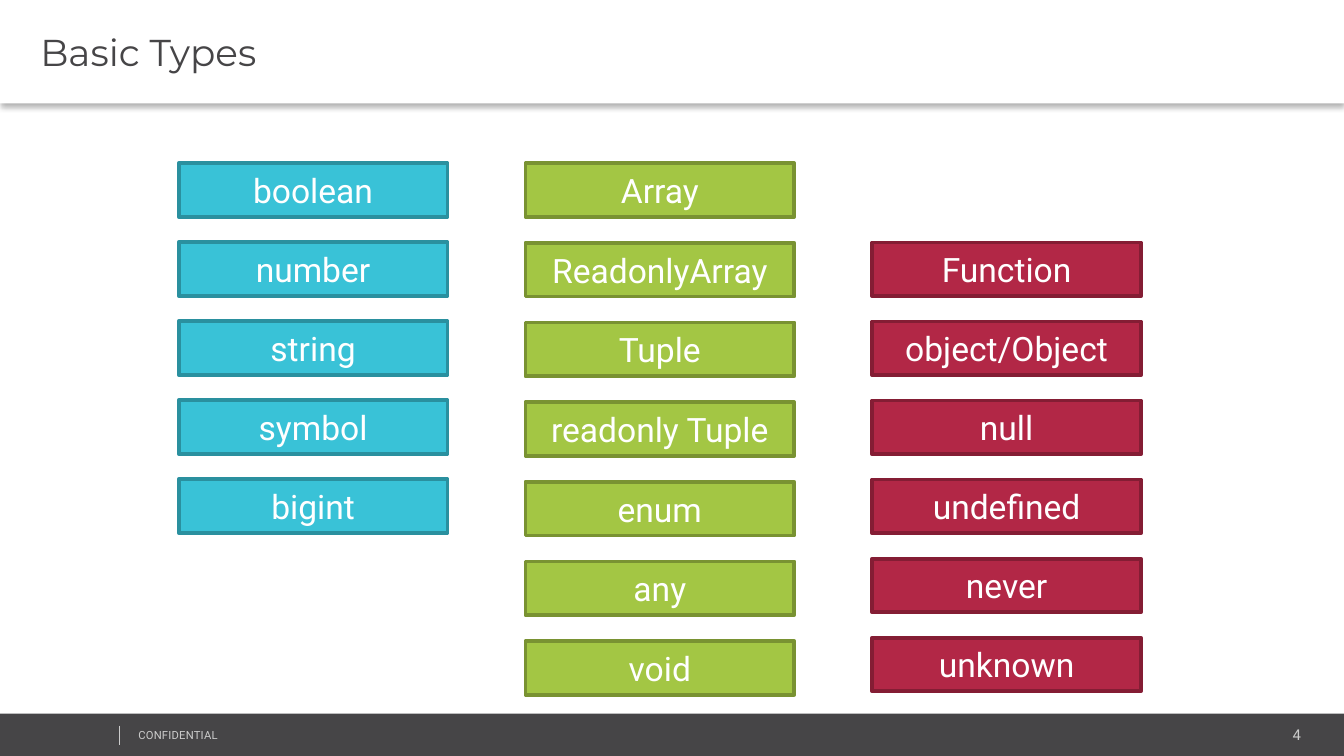
from typing import NamedTuple

from lxml.etree import SubElement
from pptx import Presentation
from pptx.dml.color import RGBColor
from pptx.enum.shapes import MSO_CONNECTOR as Link, MSO_SHAPE as Kind
from pptx.enum.text import MSO_ANCHOR as Anchor, MSO_AUTO_SIZE as Fit, PP_ALIGN as Align
from pptx.oxml.ns import qn
from pptx.util import Emu, Pt

SCALE = 4572  # EMU in one px, 200 px to the inch
WIDE, HIGH = 2000, 1125
BOX_W, BOX_H = 400, 80
WHITE, DARK, PALE = "FFFFFF", "464547", "CCCCCC"


class Column(NamedTuple):
    left: int
    top: int
    last: int  # top of the last box
    fill: str
    edge: str
    names: list[str]


COLUMNS = [
    Column(266, 243, 713, "39C2D7", "2A909F",
           ["boolean", "number", "string", "symbol", "bigint"]),
    Column(782, 243, 954, "A3C644", "799232",
           ["Array", "ReadonlyArray", "Tuple", "readonly Tuple",
            "enum", "any", "void"]),
    Column(1298, 361, 949, "B22746", "841D34",
           ["Function", "object/Object", "null", "undefined",
            "never", "unknown"]),
]


def px(size: float) -> Emu:
    return Emu(round(size * SCALE))


def color(code: str) -> RGBColor:
    return RGBColor.from_string(code)


def write(shape, text: str, *, size: float, tint: str, font: str = "Roboto",
          align=Align.LEFT, pad: tuple[int, int] = (14, 8), indent: int = 0,
          track: int = 0) -> None:
    """Fill a shape with one line; track is in hundredths of a point."""
    frame = shape.text_frame
    frame.word_wrap = True
    frame.auto_size = Fit.NONE
    frame.vertical_anchor = Anchor.MIDDLE
    frame.margin_left = px(indent or pad[0])
    frame.margin_right = px(pad[0])
    frame.margin_top = frame.margin_bottom = px(pad[1])
    line = frame.paragraphs[0]
    line.alignment = align
    run = line.add_run()
    run.text = text
    run.font.size = Pt(size)
    run.font.name = font
    run.font.color.rgb = color(tint)
    if track:
        run.font._element.set("spc", str(track))


def add_rect(slide, left: float, top: float, width: float, height: float,
             fill: str, edge: str = ""):
    shape = slide.shapes.add_shape(
        Kind.RECTANGLE, px(left), px(top), px(width), px(height))
    shape.shadow.inherit = False
    shape.fill.solid()
    shape.fill.fore_color.rgb = color(fill)
    if edge:
        shape.line.color.rgb = color(edge)
        shape.line.width = Pt(2)
    else:
        shape.line.fill.background()
    return shape


def add_label(slide, left: int, top: int, width: int, height: int,
              text: str, **style) -> None:
    label = slide.shapes.add_textbox(px(left), px(top), px(width), px(height))
    write(label, text, tint=PALE, pad=(14, 0), **style)


def add_footer(slide) -> None:
    add_rect(slide, 0, 1062, WIDE, HIGH - 1062, DARK)
    add_label(slide, 1624, 1072, 326, 42, "4", size=8, align=Align.RIGHT)
    add_label(slide, 192, 1076, 506, 36, "CONFIDENTIAL", size=6, track=10)
    rule = slide.shapes.add_connector(
        Link.STRAIGHT, px(178), px(1080), px(178), px(1108))
    rule.line.color.rgb = color(PALE)
    rule.line.width = Pt(0.25)
    SubElement(rule._element.spPr, qn("a:effectLst"))


def add_title(slide, text: str) -> None:
    title = slide.shapes.title
    title.left, title.top = px(0), px(0)
    title.width, title.height = px(WIDE), px(154)
    title.fill.solid()
    title.fill.fore_color.rgb = color(WHITE)
    write(title, text, size=20, tint=DARK, font="Montserrat", indent=60)
    effects = SubElement(title._element.spPr, qn("a:effectLst"))
    shadow = SubElement(effects, qn("a:outerShdw"), blurRad=str(Pt(3.1)),
                        dist=str(Pt(2)), dir="5400000", algn="t",
                        rotWithShape="0")
    black = SubElement(shadow, qn("a:srgbClr"), val="000000")
    SubElement(black, qn("a:alpha"), val="30000")


def add_column(slide, col: Column) -> None:
    step = (col.last - col.top) / (len(col.names) - 1)
    for row, name in enumerate(col.names):
        box = add_rect(slide, col.left, col.top + row * step,
                       BOX_W, BOX_H, col.fill, col.edge)
        write(box, name, size=18, tint=WHITE, align=Align.CENTER, pad=(20, 10))


def main() -> None:
    deck = Presentation()
    deck.slide_width, deck.slide_height = px(WIDE), px(HIGH)
    slide = deck.slides.add_slide(deck.slide_layouts[5])
    add_footer(slide)
    add_title(slide, "Basic Types")
    for col in COLUMNS:
        add_column(slide, col)
    deck.save("out.pptx")


if __name__ == "__main__":
    main()
